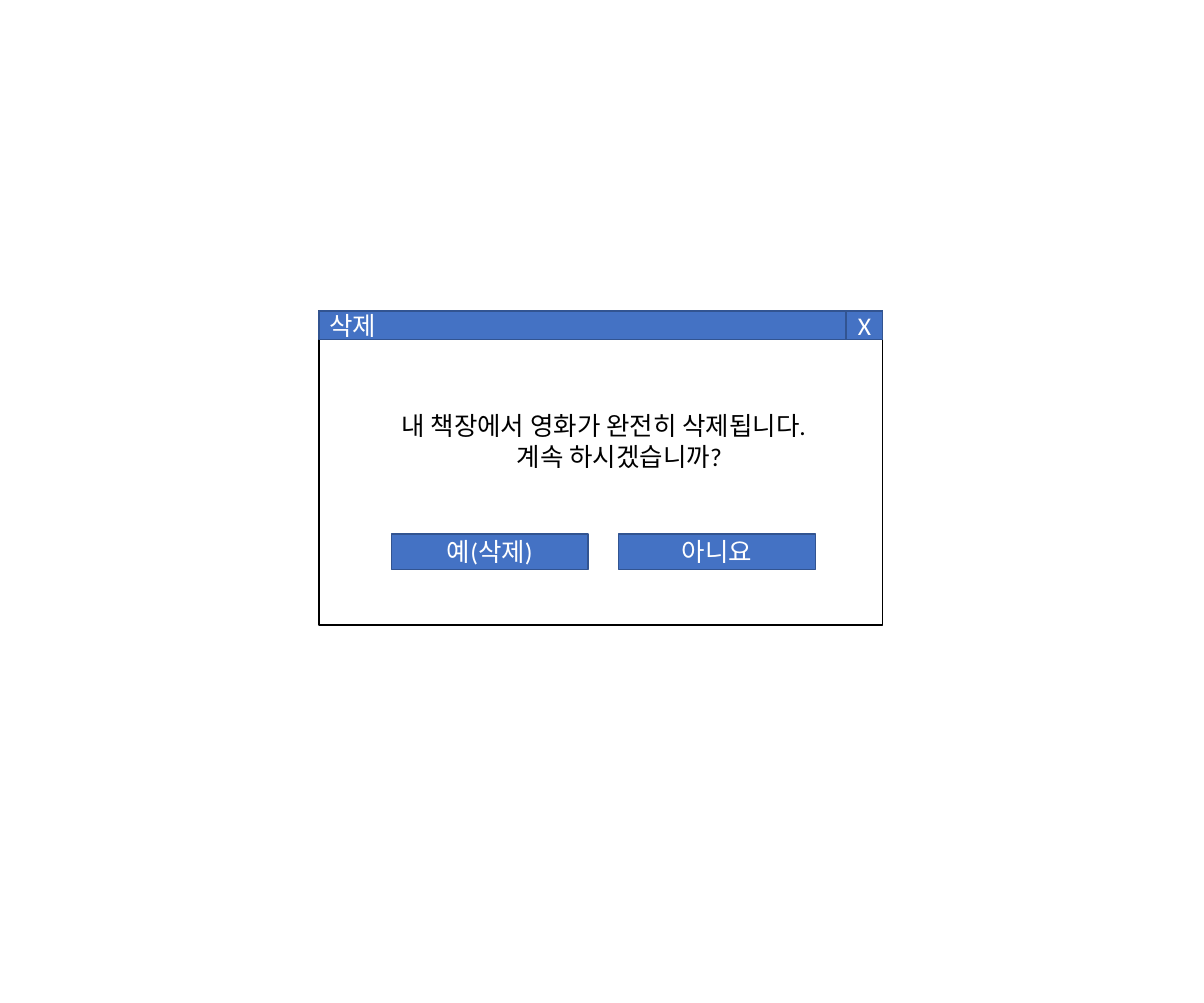
import pptx
import pptx.util
import pptx.dml.color
import pptx.enum.shapes
import pptx.enum.text

Inches, Pt = pptx.util.Inches, pptx.util.Pt
RGBColor = pptx.dml.color.RGBColor
ALIGN = pptx.enum.text.PP_ALIGN
ANCHOR = pptx.enum.text.MSO_ANCHOR
AUTO_SIZE = pptx.enum.text.MSO_AUTO_SIZE
RECTANGLE = pptx.enum.shapes.MSO_SHAPE.RECTANGLE

WHITE = RGBColor(0xFF, 0xFF, 0xFF)
BLACK = RGBColor(0, 0, 0)
BLUE = RGBColor(0x44, 0x72, 0xC4)
DARK_BLUE = RGBColor(0x32, 0x54, 0x91)

SLIDE_W, SLIDE_H = 11.81, 9.84
FONT = {"name": "Calibri", "size": Pt(18), "bold": False}
BAR_H = 0.28
CLOSE_W = 0.36
BUTTON_W, BUTTON_H, BUTTON_GAP = 1.93, 0.35, 0.3


def place(sp, x, y, w, h):
    box = {"left": x, "top": y, "width": w, "height": h}
    for name, value in box.items():
        setattr(sp, name, Inches(value))


def paint(sp, fill, line):
    sp.fill.solid()
    sp.fill.fore_color.rgb = fill
    sp.line.color.rgb = line
    sp.line.width = Pt(1)


def write(sp, lines, color, anchor=ANCHOR.MIDDLE, auto_size=AUTO_SIZE.NONE):
    """Write (text, alignment) pairs as paragraphs."""
    tf = sp.text_frame
    frame = {"word_wrap": True, "auto_size": auto_size, "vertical_anchor": anchor,
             "margin_left": Inches(0.1), "margin_right": Inches(0.1),
             "margin_top": Inches(0.05), "margin_bottom": Inches(0.05)}
    for name, value in frame.items():
        setattr(tf, name, value)
    for i, (text, align) in enumerate(lines):
        p = tf.paragraphs[0] if i == 0 else tf.add_paragraph()
        p.alignment = align
        r = p.add_run()
        r.text = text
        for name, value in FONT.items():
            setattr(r.font, name, value)
        r.font.color.rgb = color


def add_box(slide, x, y, w, h, fill, line):
    sp = slide.shapes.add_shape(RECTANGLE, Inches(x), Inches(y), Inches(w), Inches(h))
    sp.shadow.inherit = False
    paint(sp, fill, line)
    return sp


def add_button(slide, x, y, w, h, label):
    sp = add_box(slide, x, y, w, h, BLUE, DARK_BLUE)
    write(sp, [(label, ALIGN.CENTER)], WHITE)


def add_title_bar(slide, x, y, w, h, title):
    sp = slide.shapes.title
    # Bring the title in front of the window frame
    slide.shapes.element.append(sp.element)
    place(sp, x, y, w, h)
    paint(sp, BLUE, DARK_BLUE)
    write(sp, [(title, ALIGN.LEFT)], WHITE)
    add_button(slide, x + w - CLOSE_W, y, CLOSE_W, h, "X")


def add_message(slide, x, y, w, h, lines):
    sp = slide.shapes.add_textbox(Inches(x), Inches(y), Inches(w), Inches(h))
    write(sp, lines, BLACK, ANCHOR.TOP, AUTO_SIZE.SHAPE_TO_FIT_TEXT)


def add_button_row(slide, x, y, labels):
    for i, label in enumerate(labels):
        add_button(slide, x + i * (BUTTON_W + BUTTON_GAP), y, BUTTON_W, BUTTON_H, label)


def add_dialog(slide, x, y, w, h):
    content_x = x + 0.71
    # Window frame and title bar
    add_box(slide, x, y, w, h, WHITE, BLACK)
    add_title_bar(slide, x, y, w, BAR_H, "삭제")
    # Question and answers
    add_message(slide, content_x, y + 0.3 * h, 4.47, 0.71,
                [("내 책장에서 영화가 완전히 삭제됩니다.", ALIGN.LEFT),
                 ("계속 하시겠습니까?", ALIGN.CENTER)])
    add_button_row(slide, content_x, y + 0.71 * h, ["예(삭제)", "아니요"])


def main():
    prs = pptx.Presentation()
    prs.slide_width, prs.slide_height = Inches(SLIDE_W), Inches(SLIDE_H)
    slide = prs.slides.add_slide(prs.slide_layouts.get_by_name("Title Only"))
    add_dialog(slide, 0.265 * SLIDE_W, 0.31 * SLIDE_H, 5.53, 3.08)
    prs.save("out.pptx")


if __name__ == "__main__":
    main()
